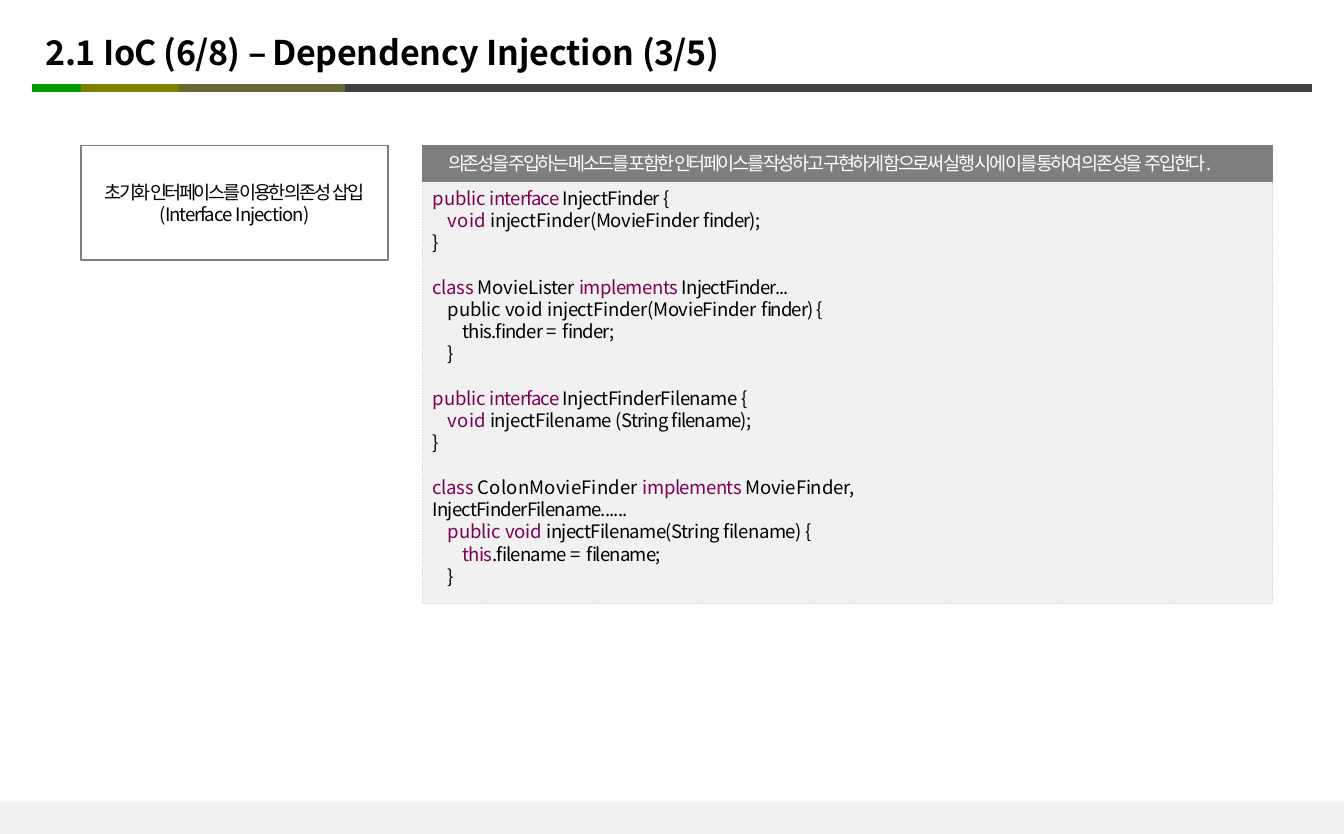
from pptx import Presentation
from pptx.dml.color import RGBColor
from pptx.enum.dml import MSO_LINE
from pptx.enum.shapes import MSO_CONNECTOR, MSO_SHAPE
from pptx.enum.text import MSO_ANCHOR, PP_ALIGN
from pptx.oxml.ns import qn
from pptx.util import Inches, Pt
from lxml import etree

FONT = "Noto Sans CJK KR"
BLACK = RGBColor(0x00, 0x00, 0x00)
WHITE = RGBColor(0xFF, 0xFF, 0xFF)
GRAY = RGBColor(0x7E, 0x7E, 0x7E)
PALE = RGBColor(0xF1, 0xF1, 0xF1)
DOTS = RGBColor(0xD9, 0xD9, 0xD9)
PLUM = RGBColor(0x7E, 0x00, 0x54)
GREEN = RGBColor(0x00, 0x99, 0x00)
OLIVE = RGBColor(0x80, 0x80, 0x00)
MOSS = RGBColor(0x66, 0x66, 0x33)
DARK = RGBColor(0x40, 0x40, 0x40)

TITLE = [("2.1 ", -0.2), ("IoC (6/8) ", -0.3), ("– ", -1.3),
         ("Dependency ", -0.1), ("Injection ", 0), ("(3/5)", -0.3)]
METHOD = [[("초기화 인터페이스를 이용한 의존성 ", -1.6), ("삽입", -1.5)],
          [("(Interface ", -0.7), ("Injection)", -0.6)]]
SUMMARY = [("의존성을 주입하는 메소드를 포함한 인터페이스를 작성하고 구현하게 함으로써 "
            "실행 시에 이를 통하여 의존성을 ", -1.6), ("주입한다.", -1.5)]
CLOSE = [("}", -0.5)]
CLOSE_METHOD = [("    ", -0.3), ("}", -0.5)]
CODE_BLOCKS = [
    [[("public ", -0.1, PLUM), ("interface ", -0.5, PLUM), ("InjectFinder ", -0.4), ("{", -0.5)],
     [("    ", -0.3), ("void ", 0.1, PLUM), ("injectFinder(MovieFinder ", -0.2), ("finder);", -0.6)],
     CLOSE],
    [[("class ", -0.2, PLUM), ("MovieLister ", -0.1), ("implements ", -0.3, PLUM),
      ("InjectFinder...", -0.5)],
     [("    ", -0.3), ("public ", -0.1), ("void ", 0.1), ("injectFinder(MovieFinder ", -0.2),
      ("finder) {", -0.5)],
     [("        ", -0.3), ("this.finder ", -0.5), ("= ", 0.5), ("finder;", -0.5)],
     CLOSE_METHOD],
    [[("public ", -0.1, PLUM), ("interface ", -0.5, PLUM), ("InjectFinderFilename ", -0.3),
      ("{", -0.5)],
     [("    ", -0.3), ("void ", 0.1, PLUM), ("injectFilename ", -0.3), ("(String filename);", -0.5)],
     CLOSE],
    [[("class ", -0.2, PLUM), ("ColonMovieFinder ", 0.1), ("implements ", -0.3, PLUM),
      ("MovieFinder, ", -0.1), ("InjectFinderFilename......", -0.5)],
     [("    ", -0.3), ("public ", -0.1, PLUM), ("void ", 0, PLUM),
      ("injectFilename(String ", -0.4), ("filename) ", -0.3), ("{", -0.6)],
     [("        ", -0.3), ("this", -0.5, PLUM), (".filename ", -0.5), ("= ", 0.4),
      ("filename;", -0.5)],
     CLOSE_METHOD],
]
RULE_Y = 0.79
RULE_START = 0.29
RULE_PARTS = [(0.73, GREEN), (1.61, OLIVE), (3.1, MOSS), (11.79, DARK)]
LINE_PITCH = Pt(14.4)


def add_runs(p, runs, size=12, color=BLACK, bold=False):
    """Append (text, spacing, optional colour) runs to a paragraph."""
    for text, spacing, *own in runs:
        r = p.add_run()
        r.text = text
        r.font.size = Pt(size)
        r.font.bold = bold
        r.font.name = FONT
        r.font.color.rgb = own[0] if own else color
        rPr = r.font._element
        rPr.set("spc", str(round(spacing * 100)))
        ea = etree.Element(qn("a:ea"), typeface=FONT)
        rPr.find(qn("a:latin")).addnext(ea)


def set_frame(tf, anchor, left=0, top=0, right=0, wrap=True):
    """Set the anchor, insets and wrapping of a text frame."""
    tf.vertical_anchor = anchor
    tf.word_wrap = wrap
    tf.margin_left, tf.margin_top = Inches(left), Inches(top)
    tf.margin_right, tf.margin_bottom = Inches(right), 0


def add_box(s, left, top, width, height, fill=None, line=None, weight=0.5):
    """Add a flat rectangle and return it."""
    sp = s.shapes.add_shape(MSO_SHAPE.RECTANGLE, Inches(left), Inches(top),
                            Inches(width), Inches(height))
    sp.shadow.inherit = False
    if fill is None:
        sp.fill.background()
    else:
        sp.fill.solid()
        sp.fill.fore_color.rgb = fill
    if line is None:
        sp.line.fill.background()
    else:
        sp.line.color.rgb = line
        sp.line.width = Pt(weight)
    return sp


def add_rule(s):
    """Draw the coloured rule under the title."""
    start = RULE_START
    for end, color in RULE_PARTS:
        cx = s.shapes.add_connector(MSO_CONNECTOR.STRAIGHT, Inches(start), Inches(RULE_Y),
                                    Inches(end), Inches(RULE_Y))
        cx.line.color.rgb = color
        cx.line.width = Pt(5)
        etree.SubElement(cx._element.spPr, qn("a:effectLst"))
        start = end


def add_title(s):
    """Place and fill the title placeholder."""
    title = s.shapes.title
    title.left, title.top = Inches(0.4), Inches(0.28)
    title.width, title.height = Inches(6.98), Inches(0.38)
    tf = title.text_frame
    set_frame(tf, MSO_ANCHOR.MIDDLE, left=0.01)
    p = tf.paragraphs[0]
    p.alignment = PP_ALIGN.LEFT
    add_runs(p, TITLE, size=22, bold=True)


def add_method(s):
    """Add the framed name of the injection method."""
    tf = add_box(s, 0.73, 1.31, 2.76, 1.03, line=GRAY, weight=1).text_frame
    set_frame(tf, MSO_ANCHOR.MIDDLE)
    for i, runs in enumerate(METHOD):
        p = tf.add_paragraph() if i else tf.paragraphs[0]
        p.alignment = PP_ALIGN.CENTER
        p.line_spacing = Pt(14.2)
        add_runs(p, runs)


def add_code(s):
    """Add the code panel and its heading bar."""
    panel = add_box(s, 3.8, 1.63, 7.64, 3.8, PALE, DOTS)
    panel.line.dash_style = MSO_LINE.ROUND_DOT
    tf = panel.text_frame
    set_frame(tf, MSO_ANCHOR.TOP, left=0.09, top=0.05, right=2.03)
    for b, block in enumerate(CODE_BLOCKS):
        for i, runs in enumerate(block):
            p = tf.add_paragraph() if b or i else tf.paragraphs[0]
            p.alignment = PP_ALIGN.LEFT
            p.line_spacing = LINE_PITCH
            if b and not i:
                p.space_before = LINE_PITCH
            add_runs(p, runs)
    tf = add_box(s, 3.8, 1.31, 7.64, 0.32, GRAY, GRAY).text_frame
    set_frame(tf, MSO_ANCHOR.MIDDLE, left=0.23, wrap=False)
    p = tf.paragraphs[0]
    p.alignment = PP_ALIGN.LEFT
    p.line_spacing = LINE_PITCH
    add_runs(p, SUMMARY, color=WHITE)


def main():
    """Build the slide and save it."""
    prs = Presentation()
    prs.slide_width, prs.slide_height = Inches(12.08), Inches(7.5)
    s = prs.slides.add_slide(prs.slide_layouts[5])
    add_box(s, 0, 7.21, 12.08, 0.29, PALE)
    add_rule(s)
    add_title(s)
    add_method(s)
    add_code(s)
    prs.save("out.pptx")


if __name__ == "__main__":
    main()
